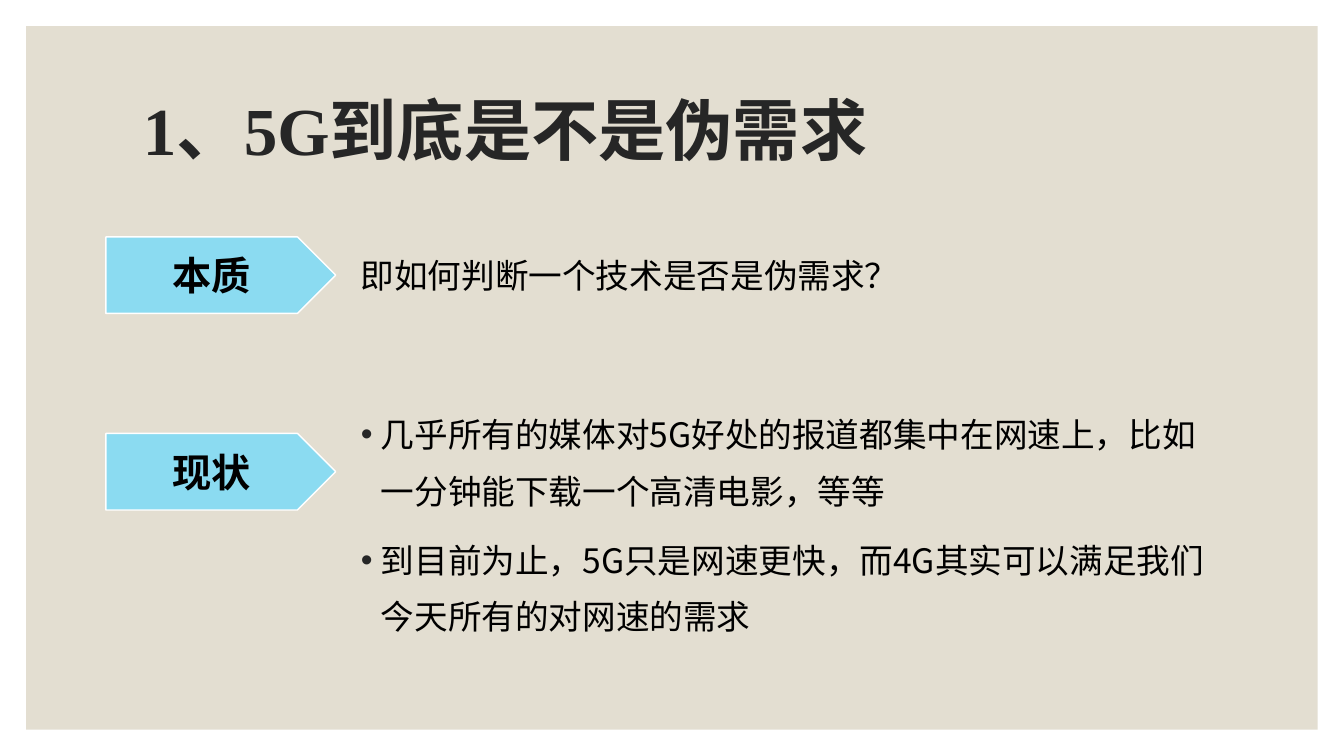
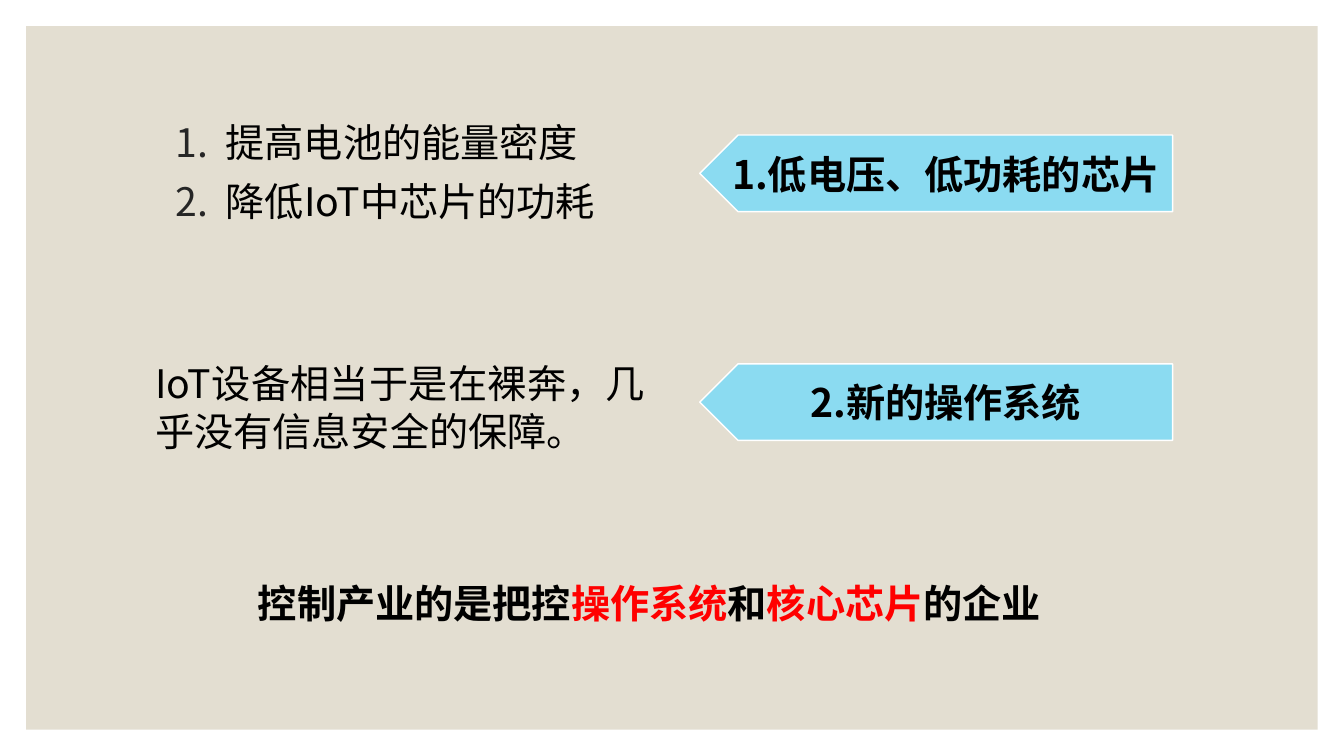
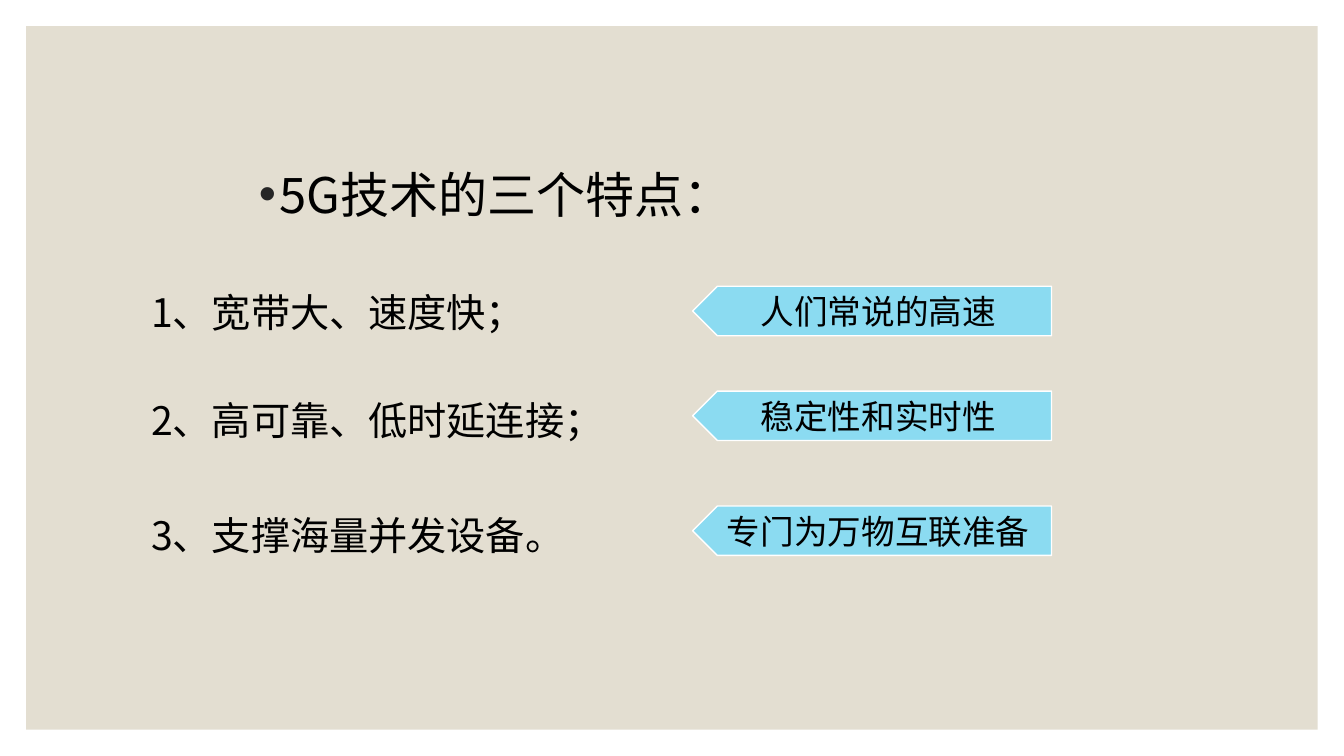
from pptx import Presentation
from pptx.dml.color import RGBColor
from pptx.enum.shapes import MSO_SHAPE as Shape
from pptx.enum.text import MSO_ANCHOR as Anchor, PP_ALIGN as Align
from pptx.oxml.ns import qn
from pptx.util import Inches, Pt
from lxml.etree import SubElement

# Shared style
COLORS = {
    "page": "FFFFFF", "panel": "E3DED1", "arrow": "8BDBF1",
    "title": "262626", "text": "000000", "accent": "FF0000",
}
FONT = "Noto Sans CJK SC"
TITLE_FONT = "Times New Roman"
SLIDE_WIDTH, SLIDE_HEIGHT, MARGIN = 13.33, 7.5, 0.26

# Content
TITLE = "1、5G到底是不是伪需求"
ESSENCE = "即如何判断一个技术是否是伪需求？"
STATUS = [
    "几乎所有的媒体对5G好处的报道都集中在网速上，比如一分钟能下载一个高清电影，等等",
    "到目前为止，5G只是网速更快，而4G其实可以满足我们今天所有的对网速的需求",
]
LABELS = [("本质", 2.35), ("现状", 4.3)]

POWER_NEEDS = ["提高电池的能量密度", "降低IoT中芯片的功耗"]
SECURITY = "IoT设备相当于是在裸奔，几乎没有信息安全的保障。"
ANSWERS = [("1.低电压、低功耗的芯片", 1.34), ("2.新的操作系统", 3.61)]
CONCLUSION = [
    ("控制产业的是把控", "text"), ("操作系统", "accent"), ("和", "text"),
    ("核心芯片", "accent"), ("的企业", "text"),
]

FEATURES_HEADING = "5G技术的三个特点："
# feature, its top, meaning, arrow top
FEATURES = [
    ("1、宽带大、速度快；", 2.81, "人们常说的高速", 2.84),
    ("2、高可靠、低时延连接；", 3.88, "稳定性和实时性", 3.88),
    ("3、支撑海量并发设备。", 5.02, "专门为万物互联准备", 5.02),
]


def rgb(name):
    return RGBColor.from_string(COLORS[name])


def style_run(run, size, color="text", bold=False, font=FONT):
    run.font.size, run.font.bold, run.font.name = Pt(size), bold, font
    run.font.color.rgb = rgb(color)
    if font == FONT:
        SubElement(run.font._element, qn("a:ea"), typeface=font)


def set_indent(paragraph, left, hanging=0.0, bullet=None):
    """Indent in inches; bullet is None, "number" or a character."""
    properties = paragraph._p.get_or_add_pPr()
    properties.set("marL", str(Inches(left)))
    properties.set("indent", str(Inches(-hanging)))
    if bullet:
        color = SubElement(properties, qn("a:buClr"))
        SubElement(color, qn("a:srgbClr"), val=COLORS["title"])
    if bullet == "number":
        SubElement(properties, qn("a:buAutoNum"), type="arabicPeriod")
    elif bullet:
        SubElement(properties, qn("a:buFont"), typeface="Arial")
        SubElement(properties, qn("a:buChar"), char=bullet)


def add_text(slide, box, paragraphs, size, bold=False, font=FONT, color="text",
             align=Align.JUSTIFY, anchor=Anchor.TOP, spacing=None, before=0,
             left=0.0, hanging=0.0, bullet=None):
    """Each paragraph is a string or a list of (text, colour) runs."""
    frame = slide.shapes.add_textbox(*map(Inches, box)).text_frame
    frame.word_wrap, frame.vertical_anchor = True, anchor
    for index, content in enumerate(paragraphs):
        paragraph = frame.paragraphs[0] if index == 0 else frame.add_paragraph()
        paragraph.alignment, paragraph.space_before = align, Pt(before)
        if spacing:
            paragraph.line_spacing = spacing
        set_indent(paragraph, left, hanging, bullet)
        runs = [(content, color)] if isinstance(content, str) else content
        for text, run_color in runs:
            run = paragraph.add_run()
            run.text = text
            style_run(run, size, run_color, bold, font)


def add_block(slide, kind, box, fill):
    shape = slide.shapes.add_shape(kind, *map(Inches, box))
    shape.shadow.inherit = False
    shape.fill.solid()
    shape.fill.fore_color.rgb = rgb(fill)
    shape.line.fill.background()
    return shape


def add_arrow(slide, box, text, size=28, bold=True, points_left=False):
    shape = add_block(slide, Shape.PENTAGON, box, "arrow")
    shape.line.color.rgb, shape.line.width = rgb("page"), Pt(1)
    if points_left:
        shape._element.spPr.xfrm.set("flipH", "1")
    frame = shape.text_frame
    frame.text, frame.word_wrap, frame.vertical_anchor = text, True, Anchor.MIDDLE
    # No side insets, so that the longest label stays on one line
    frame.margin_left = frame.margin_right = Inches(0)
    frame.paragraphs[0].alignment = Align.CENTER
    style_run(frame.paragraphs[0].runs[0], size, bold=bold)


def new_slide(presentation):
    slide = presentation.slides.add_slide(presentation.slide_layouts[6])
    panel = (MARGIN, MARGIN, SLIDE_WIDTH - 2 * MARGIN, SLIDE_HEIGHT - 2 * MARGIN)
    add_block(slide, Shape.RECTANGLE, panel, "panel")
    return slide


def build_question(presentation):
    slide = new_slide(presentation)
    add_text(slide, (1.32, 0.5, 9.33, 1.65), [TITLE], 48, bold=True,
             font=TITLE_FONT, color="title", align=Align.LEFT,
             anchor=Anchor.MIDDLE, spacing=0.9)
    add_text(slide, (3.48, 3.9, 8.8, 2.41), STATUS, 24, align=Align.LEFT,
             spacing=1.4, before=9, left=0.2, hanging=0.2, bullet="•")
    add_text(slide, (3.33, 2.48, 6.66, 0.5), [ESSENCE], 24, left=0.15)
    for label, top in LABELS:
        add_arrow(slide, (1.05, top, 2.28, 0.76), label)


def build_answers(presentation):
    slide = new_slide(presentation)
    add_text(slide, (1.35, 1.12, 4.69, 1.48), POWER_NEEDS, 28, before=9,
             left=0.79, hanging=0.5, bullet="number")
    add_text(slide, (1.15, 3.52, 5.35, 1.06), [SECURITY], 28, before=9, left=0.29)
    for answer, top in ANSWERS:
        add_arrow(slide, (6.94, top, 4.69, 0.76), answer, points_left=True)
    add_text(slide, (2.17, 5.7, 8.27, 0.76), [CONCLUSION], 28, bold=True,
             before=9, left=0.29)


def build_features(presentation):
    slide = new_slide(presentation)
    add_text(slide, (2.47, 1.58, 6.18, 0.85), [FEATURES_HEADING], 35, before=9,
             left=0.2, hanging=0.2, bullet="•")
    for feature, top, meaning, arrow_top in FEATURES:
        add_text(slide, (1.1, top, 5.21, 0.78), [feature], 28, before=5, left=0.3)
        add_arrow(slide, (6.87, arrow_top, 3.56, 0.49), meaning, 24,
                  bold=False, points_left=True)


def main():
    presentation = Presentation()
    presentation.slide_width = Inches(SLIDE_WIDTH)
    presentation.slide_height = Inches(SLIDE_HEIGHT)
    background = presentation.slide_master.background.fill
    background.solid()
    background.fore_color.rgb = rgb("page")
    for build in (build_question, build_answers, build_features):
        build(presentation)
    presentation.save("out.pptx")


if __name__ == "__main__":
    main()
